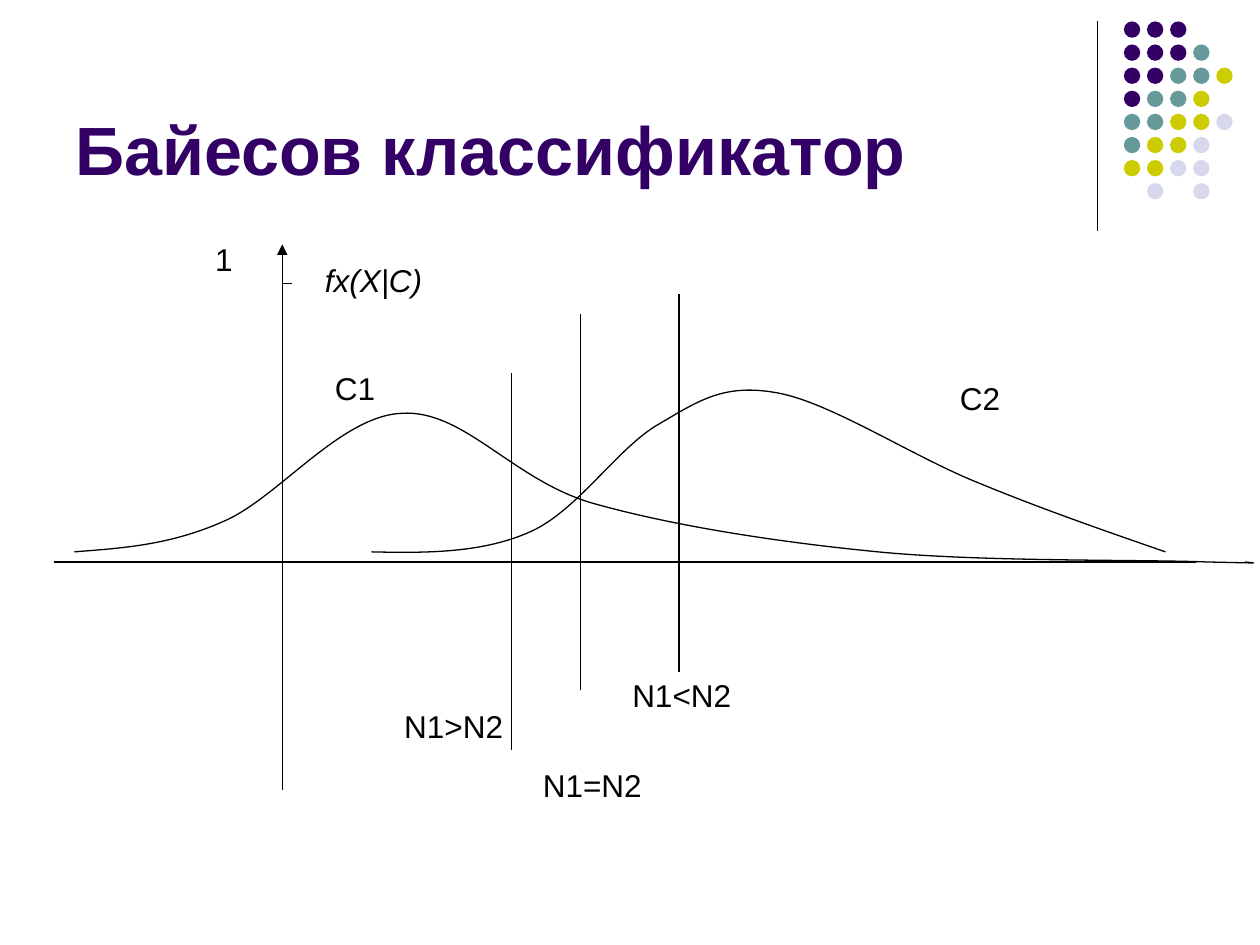
"""Build a slide on the Bayes classifier with two class density curves."""
from typing import NamedTuple

from lxml.etree import SubElement
from pptx import Presentation
from pptx.dml.color import RGBColor
from pptx.enum.shapes import MSO_CONNECTOR, MSO_SHAPE
from pptx.enum.text import MSO_ANCHOR, MSO_AUTO_SIZE, PP_ALIGN
from pptx.oxml.ns import qn
from pptx.shapes.autoshape import Shape
from pptx.slide import Slide
from pptx.text.text import TextFrame
from pptx.util import Inches, Pt

BLACK = RGBColor(0x00, 0x00, 0x00)
PURPLE = RGBColor(0x33, 0x00, 0x66)
TEAL = RGBColor(0x66, 0x99, 0x99)
OLIVE = RGBColor(0xCC, 0xCC, 0x00)
LAVENDER = RGBColor(0xD8, 0xD8, 0xEC)

Point = tuple[float, float]

DOT_COLORS = {"P": PURPLE, "T": TEAL, "O": OLIVE, "L": LAVENDER}
DOT_ROWS = ["PPP", "PPPT", "PPTTO", "PTTO", "TTOOL", "TOOL", "OOLL", " L L"]
DOT_LEFT, DOT_TOP, DOT_SIZE = 8.92, 0.17, 0.13
DOT_PITCH = 0.55 / 3
LABEL_HEIGHT = 0.4


class Line(NamedTuple):
    start: Point
    end: Point
    arrow: bool = False


class Label(NamedTuple):
    text: str
    left: float
    top: float
    width: float
    italic: bool = False


SEPARATOR = Line((8.71, 0.17), (8.71, 1.83))

LINES = [
    Line((2.24, 6.27), (2.24, 1.94), arrow=True),
    Line((0.43, 4.46), (9.49, 4.46)),
    Line((4.61, 5.48), (4.61, 2.49)),
    Line((5.39, 5.33), (5.39, 2.33)),
    Line((4.06, 5.95), (4.06, 2.96)),
    Line((2.24, 2.25), (2.32, 2.25)),
]

LABELS = [
    Label("fx(X|C)", 2.48, 2.02, 1.18, italic=True),
    Label("C1", 2.56, 2.88, 0.79),
    Label("C2", 7.52, 2.96, 1.1),
    Label("N1=N2", 4.21, 6.03, 1.5),
    Label("N1<N2", 4.92, 5.32, 1.5),
    Label("N1>N2", 3.11, 5.56, 1.5),
    Label("1", 1.61, 1.86, 0.31),
]

CLASS_ONE_CURVE = [
    (0.59, 4.38),
    (0.96, 4.35), (1.34, 4.33), (1.77, 4.14),
    (2.2, 3.96), (2.7, 3.3), (3.19, 3.28),
    (3.68, 3.25), (4.06, 3.8), (4.69, 3.99),
    (5.32, 4.17), (6.15, 4.3), (6.97, 4.38),
    (7.78, 4.46), (9.08, 4.44), (9.57, 4.46),
    (10.05, 4.47), (9.97, 4.47), (9.88, 4.46),
]
CLASS_TWO_CURVE = [
    (2.95, 4.38),
    (3.39, 4.39), (3.83, 4.39), (4.21, 4.22),
    (4.59, 4.05), (4.91, 3.54), (5.24, 3.36),
    (5.56, 3.17), (5.76, 3.04), (6.18, 3.12),
    (6.6, 3.2), (7.24, 3.62), (7.76, 3.83),
    (8.27, 4.04), (8.76, 4.21), (9.25, 4.38),
]


def draw_line(slide: Slide, line: Line) -> None:
    """Draw a thin straight line, with an arrowhead at its end if asked."""
    connector = slide.shapes.add_connector(
        MSO_CONNECTOR.STRAIGHT, *map(Inches, line.start + line.end))
    connector.line.color.rgb = BLACK
    connector.line.width = Pt(0.75)
    if line.arrow:
        SubElement(connector.line._get_or_add_ln(), qn("a:tailEnd"), type="triangle")
    SubElement(connector._element.spPr, qn("a:effectLst"))


def draw_dots(slide: Slide) -> None:
    """Draw the coloured dot grid in the corner."""
    for row, codes in enumerate(DOT_ROWS):
        for column, code in enumerate(codes):
            if code not in DOT_COLORS:
                continue
            dot = slide.shapes.add_shape(
                MSO_SHAPE.OVAL,
                Inches(DOT_LEFT + column * DOT_PITCH),
                Inches(DOT_TOP + row * DOT_PITCH),
                Inches(DOT_SIZE), Inches(DOT_SIZE))
            dot.shadow.inherit = False
            dot.fill.solid()
            dot.fill.fore_color.rgb = DOT_COLORS[code]
            dot.line.fill.background()


def draw_outline(slide: Slide, points: list[Point], close: bool) -> Shape:
    """Draw an unfilled freeform through the points."""
    start, *others = [(Inches(x), Inches(y)) for x, y in points]
    builder = slide.shapes.build_freeform(*start)
    builder.add_line_segments(others, close=close)
    shape = builder.convert_to_shape()
    shape.shadow.inherit = False
    shape.fill.background()
    return shape


def draw_curve(slide: Slide, points: list[Point]) -> None:
    """Draw a cubic curve from its start and triples of control points."""
    shape = draw_outline(slide, points, close=False)
    shape.line.color.rgb = BLACK
    shape.line.width = Pt(0.75)
    outline = next(shape._element.iter(qn("a:path")))
    segments = outline.findall(qn("a:lnTo"))
    for first in range(0, len(segments), 3):
        cubic = SubElement(outline, qn("a:cubicBezTo"))
        for segment in segments[first:first + 3]:
            cubic.append(segment[0])
            outline.remove(segment)


def add_text(frame: TextFrame, text: str, size: float, color: RGBColor,
             bold: bool = False, italic: bool = False) -> None:
    """Add one left-aligned run to a wrapping text frame."""
    frame.word_wrap = True
    paragraph = frame.paragraphs[0]
    paragraph.alignment = PP_ALIGN.LEFT
    run = paragraph.add_run()
    run.text = text
    run.font.name = "Arial"
    run.font.size = Pt(size)
    run.font.bold = bold
    run.font.italic = italic
    run.font.color.rgb = color


def draw_title(slide: Slide) -> None:
    """Draw the slide title."""
    box = slide.shapes.add_textbox(Inches(0.5), Inches(0.13), Inches(8.25), Inches(1.42))
    box.text_frame.vertical_anchor = MSO_ANCHOR.BOTTOM
    add_text(box.text_frame, "Байесов классификатор", 39, PURPLE, bold=True)


def draw_label(slide: Slide, label: Label) -> None:
    """Draw a label in an invisible rectangular outline."""
    right, bottom = label.left + label.width, label.top + LABEL_HEIGHT
    shape = draw_outline(slide, [
        (label.left, label.top), (right, label.top),
        (right, bottom), (label.left, bottom)], close=True)
    shape.line.fill.background()
    frame = shape.text_frame
    frame.vertical_anchor = MSO_ANCHOR.TOP
    frame.auto_size = MSO_AUTO_SIZE.SHAPE_TO_FIT_TEXT
    add_text(frame, label.text, 18, BLACK, italic=label.italic)


def main() -> None:
    """Create and save the presentation."""
    presentation = Presentation()
    presentation.slide_width = Inches(10)
    presentation.slide_height = Inches(7.5)
    slide = presentation.slides.add_slide(presentation.slide_layouts[6])
    draw_line(slide, SEPARATOR)
    draw_dots(slide)
    draw_title(slide)
    for line in LINES:
        draw_line(slide, line)
    for curve in (CLASS_ONE_CURVE, CLASS_TWO_CURVE):
        draw_curve(slide, curve)
    for label in LABELS:
        draw_label(slide, label)
    presentation.save("out.pptx")


if __name__ == "__main__":
    main()
